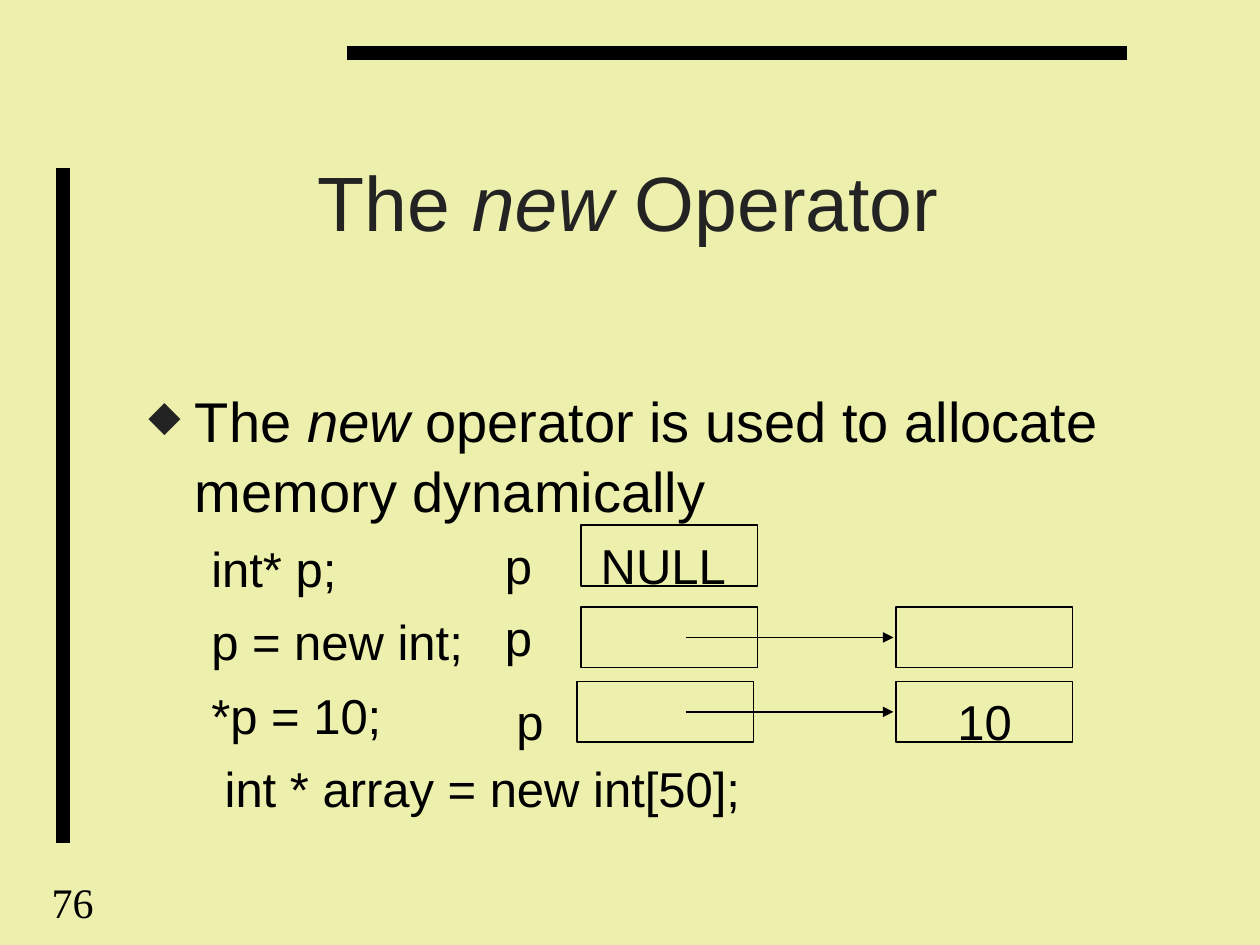
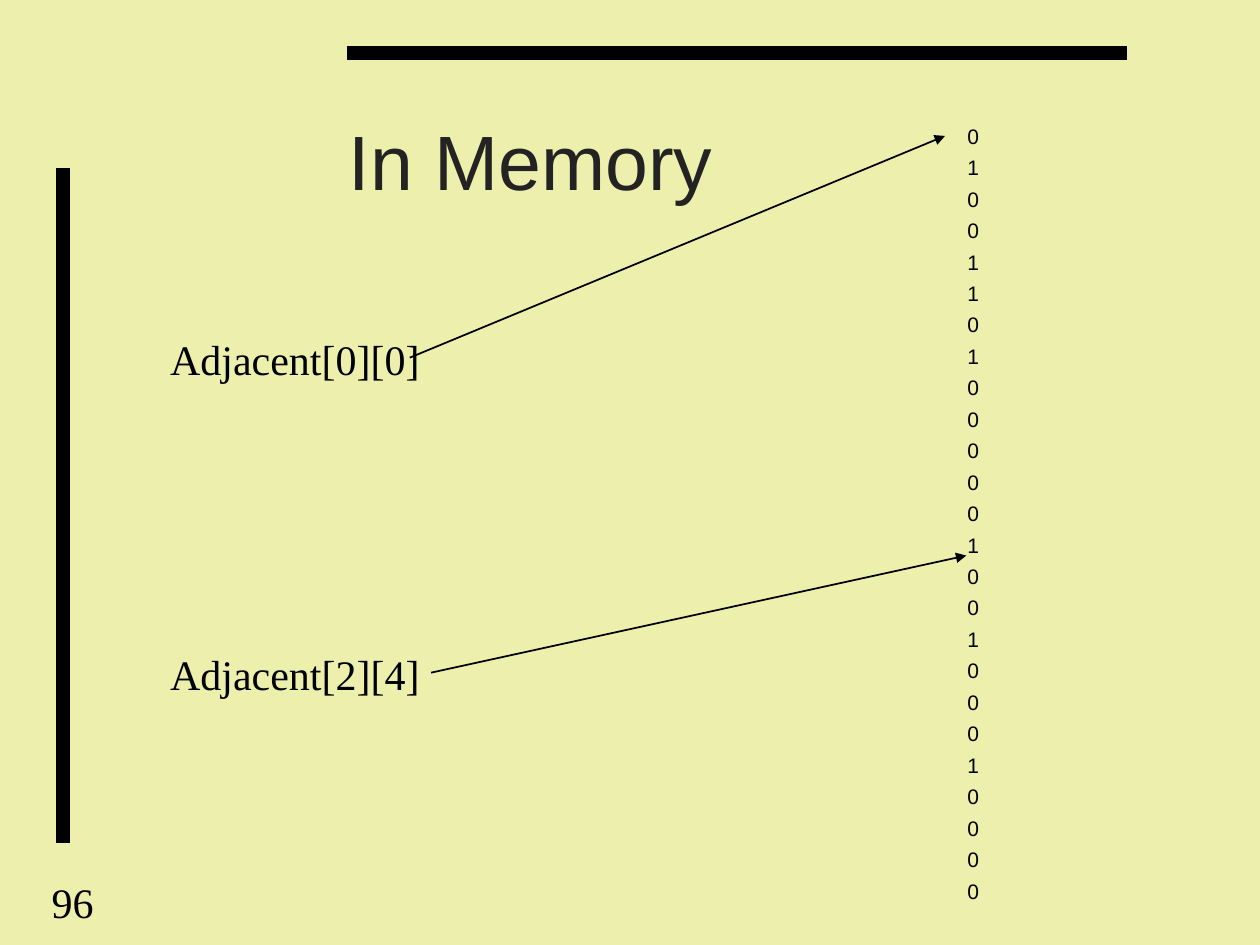
from lxml.etree import SubElement
from pptx import Presentation
from pptx.dml.color import RGBColor
from pptx.enum.shapes import MSO_CONNECTOR, MSO_SHAPE
from pptx.enum.text import MSO_ANCHOR, PP_ALIGN
from pptx.oxml.ns import qn
from pptx.util import Cm, Pt

COLORS = {"back": "EDEFAD", "title": "232323", "ink": "000000"}
SANS, SERIF = "Arial", "Times New Roman"
LEADING = 1.04
BANDS = [((6.99, 1.07), (22.71, 1.07)), ((1.27, 3.38), (1.27, 16.99))]
CELL = (3.56, 1.22)
HEAP = 18.06
MATRIX = ["01001", "10100", "00010", "01000", "10000"]


def color(key):
    """Return the named colour."""
    return RGBColor.from_string(COLORS[key])


def write(para, text, size, font=SANS, ink="ink"):
    """Fill a paragraph, with parts between underscores in italics."""
    para.alignment = PP_ALIGN.LEFT
    para.line_spacing = LEADING
    for num, part in enumerate(text.split("_")):
        run = para.add_run()
        run.text = part
        style = {"name": font, "size": Pt(size), "italic": num % 2 == 1}
        for key, value in style.items():
            setattr(run.font, key, value)
        run.font.color.rgb = color(ink)


def indent(para, left, hang=0):
    """Set the left margin and hanging indent of a paragraph."""
    props = para._p.get_or_add_pPr()
    props.set("marL", str(Cm(left)))
    props.set("indent", str(-Cm(hang)))
    return props


def bullet(para):
    """Give a paragraph a diamond bullet."""
    props = indent(para, 0.94, 0.94)
    tint = SubElement(props, qn("a:buClr"))
    SubElement(tint, qn("a:srgbClr"), val=COLORS["title"])
    SubElement(props, qn("a:buSzPct"), val="75000")
    SubElement(props, qn("a:buChar"), char="◆")


def add_text(slide, place, lines, size, font=SANS, gap=0):
    """Add a text box with one paragraph per line and return its frame."""
    frame = slide.shapes.add_textbox(*map(Cm, place)).text_frame
    frame.word_wrap = True
    for num, line in enumerate(lines):
        para = frame.add_paragraph() if num else frame.paragraphs[0]
        write(para, line, size, font)
        if num:
            para.space_before = Pt(gap)
    return frame


def add_line(slide, start, end, width=1, arrow=False):
    """Draw a straight line, with an arrowhead if asked."""
    line = slide.shapes.add_connector(
        MSO_CONNECTOR.STRAIGHT, *map(Cm, start + end))
    line.line.color.rgb = color("ink")
    line.line.width = Pt(width)
    if arrow:
        SubElement(line.line._get_or_add_ln(), qn("a:tailEnd"), type="triangle")
    SubElement(line._element.spPr, qn("a:effectLst"))


def add_cell(slide, left, top):
    """Draw an empty memory cell."""
    cell = slide.shapes.add_shape(
        MSO_SHAPE.RECTANGLE, *map(Cm, (left, top) + CELL))
    cell.shadow.inherit = False
    cell.fill.background()
    cell.line.color.rgb = color("ink")
    cell.line.width = Pt(1)


def add_slide(deck, title, left, top, number):
    """Add a slide with its title, bands and number."""
    slide = deck.slides.add_slide(deck.slide_layouts[5])
    for start, end in BANDS:
        add_line(slide, start, end, 8)
    head = slide.shapes.title
    place = {"left": left, "top": top, "width": 17.96, "height": 2.54}
    for key, value in place.items():
        setattr(head, key, Cm(value))
    head.text_frame.vertical_anchor = MSO_ANCHOR.MIDDLE
    write(head.text_frame.paragraphs[0], title, 44, ink="title")
    add_text(slide, (0.79, 17.5, 4.04, 1.27), [number], 24, SERIF)
    return slide


def add_code(slide):
    """Add the bullet and the code lines under it."""
    frame = add_text(
        slide, (2.74, 7.62, 20.75, 9.53),
        ["The _new_ operator is used to allocate memory dynamically"], 32)
    bullet(frame.paragraphs[0])
    code = [("int* p;", 1.27), ("p = new int;", 1.27), ("*p = 10;", 1.27),
            ("int * array = new int[50];", 1.54)]
    for text, left in code:
        para = frame.add_paragraph()
        indent(para, left)
        para.space_before = Pt(7)
        write(para, text, 28)


def add_heap(slide):
    """Draw the pointer in its three states."""
    rows = [(11.71, 10.59), (11.71, 12.24), (11.63, 13.74)]
    for left, top in rows:
        add_cell(slide, left, top)
    for left, top in rows[1:]:
        add_cell(slide, HEAP, top)
        mid = top + CELL[1] / 2
        add_line(slide, (13.82, mid), (18.01, mid), arrow=True)
    labels = [("p", 9.93, 10.62), ("p", 9.93, 12.07), ("p", 10.16, 13.77),
              ("NULL", 11.86, 10.62), ("10", 19.05, 13.77)]
    for text, left, top in labels:
        width = 0.5 + 0.75 * len(text)
        add_text(slide, (left, top, width, 1.42), [text], 28)


def add_memory(slide):
    """List the matrix bits and point at two of them."""
    add_text(slide, (19.25, 2.34, 2.11, 15.88), "".join(MATRIX), 12, gap=3)
    marks = [("Adjacent[0][0]", 6.55, (8.26, 7.21), (19.05, 2.74)),
             ("Adjacent[2][4]", 12.9, (8.69, 13.56), (19.48, 11.2))]
    for text, top, start, end in marks:
        add_text(slide, (3.18, top, 6, 1.27), [text], 24, SERIF)
        add_line(slide, start, end, arrow=True)


def main():
    """Build and save the deck."""
    deck = Presentation()
    deck.slide_width, deck.slide_height = Cm(25.4), Cm(19.05)
    fill = deck.slide_master.background.fill
    fill.solid()
    fill.fore_color.rgb = color("back")
    slide = add_slide(deck, "The _new_ Operator", 6.15, 2.74, "76")
    add_code(slide)
    add_heap(slide)
    add_memory(add_slide(deck, "In Memory", 6.78, 1.91, "96"))
    deck.save("out.pptx")


if __name__ == "__main__":
    main()
